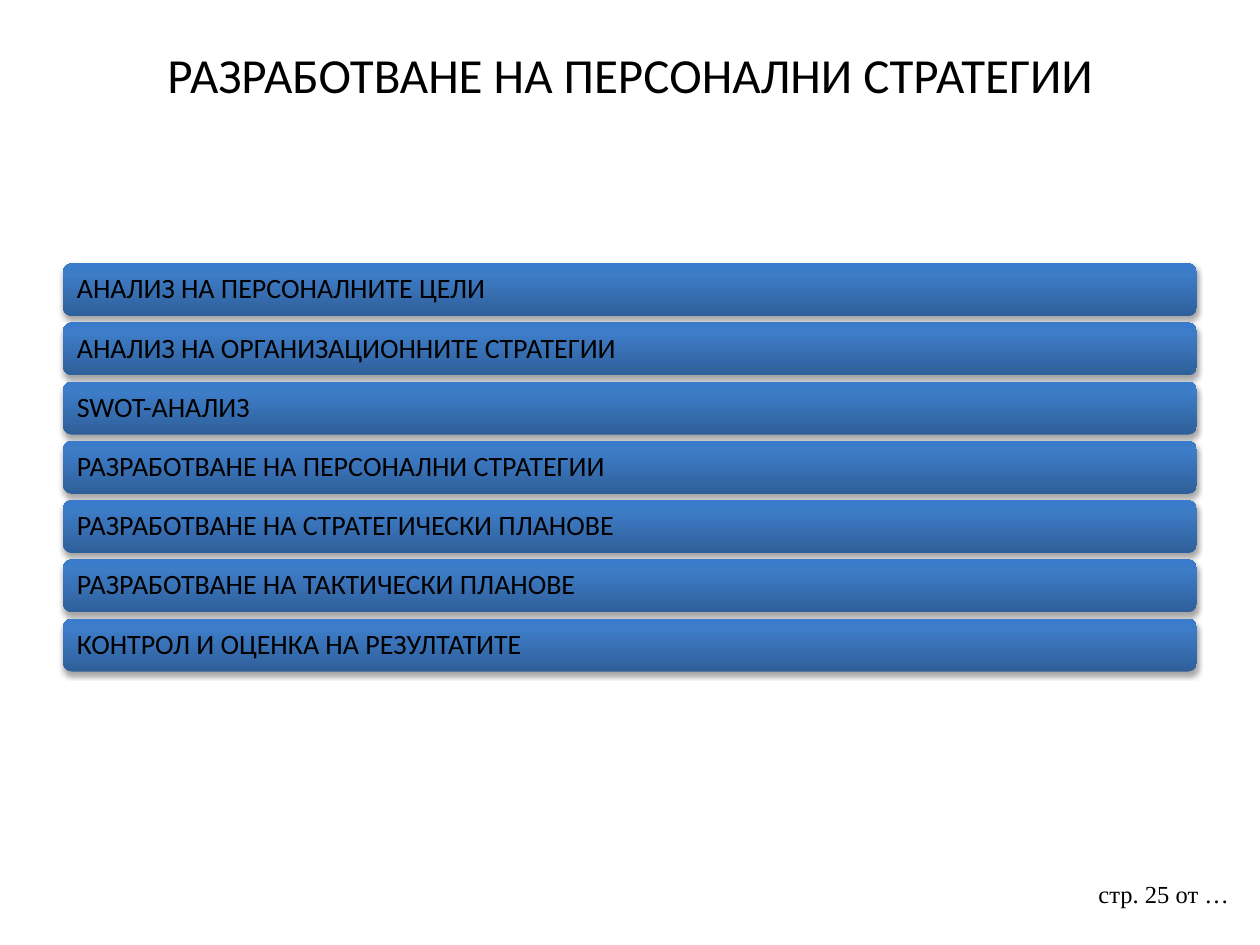
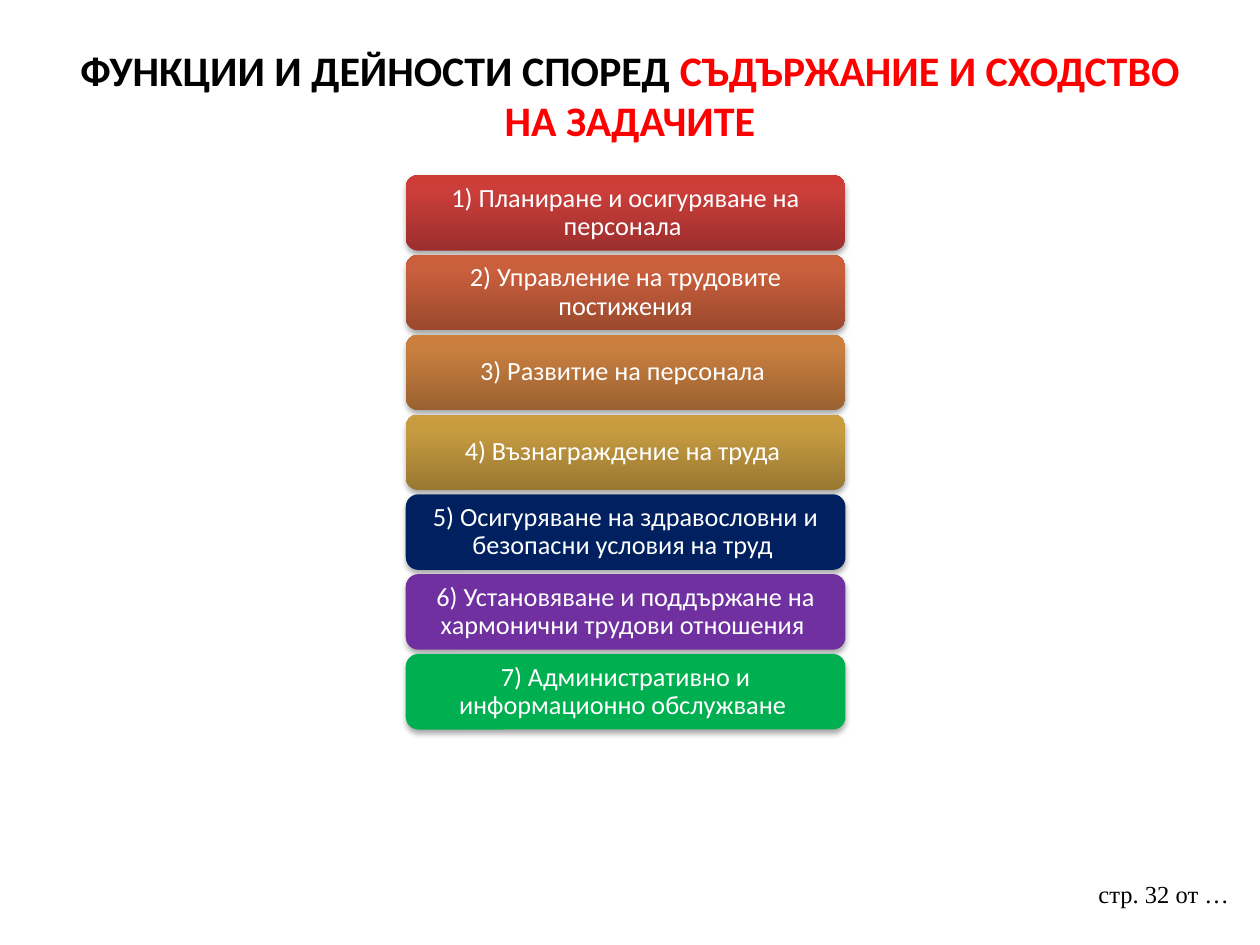
from copy import deepcopy

from pptx import Presentation
from pptx.dml.color import RGBColor
from pptx.enum.shapes import MSO_SHAPE as SHAPE
from pptx.enum.text import MSO_ANCHOR as ANCHOR, PP_ALIGN as ALIGN
from pptx.oxml import parse_xml
from pptx.oxml.ns import nsdecls, qn
from pptx.util import Inches, Pt

BLACK, WHITE, RED = "000000", "FFFFFF", "FF0000"
BLUE = ("2F5F99", "3D7CC7", "3A7CCB")
STOPS = (0, 0.8, 1)
SHADOW = (
    f'<a:effectLst {nsdecls("a")}>'
    '<a:outerShdw blurRad="40000" dist="23000" dir="5400000" rotWithShape="0">'
    '<a:srgbClr val="000000"><a:alpha val="35000"/></a:srgbClr>'
    '</a:outerShdw></a:effectLst>'
)

STEPS = [
    "АНАЛИЗ НА ПЕРСОНАЛНИТЕ ЦЕЛИ",
    "АНАЛИЗ НА ОРГАНИЗАЦИОННИТЕ СТРАТЕГИИ",
    "SWOT-АНАЛИЗ",
    "РАЗРАБОТВАНЕ НА ПЕРСОНАЛНИ СТРАТЕГИИ",
    "РАЗРАБОТВАНЕ НА СТРАТЕГИЧЕСКИ ПЛАНОВЕ",
    "РАЗРАБОТВАНЕ НА ТАКТИЧЕСКИ ПЛАНОВЕ",
    "КОНТРОЛ И ОЦЕНКА НА РЕЗУЛТАТИТЕ",
]
FUNCTIONS = [
    ("1) Планиране и осигуряване на персонала ", ("9C2F2D", "CB3E3A", "CE3B37")),
    ("2) Управление на трудовите постижения", ("9B492E", "C95F3C", "CD5E3A")),
    ("3) Развитие на персонала ", ("9A6130", "C87E3F", "CC7E3C")),
    ("4) Възнаграждение на труда ", ("997832", "C79C41", "CB9D3F")),
    ("5) Осигуряване на здравословни и безопасни условия на труд ", ("002060",)),
    ("6) Установяване и поддържане на хармонични трудови отношения ", ("7030A0",)),
    ("7) Административно и информационно обслужване ", ("00B050",)),
]


def rgb(value):
    return RGBColor.from_string(value)


class Deck:
    font = "Calibri"
    footer_font = "Times New Roman"

    def __init__(self):
        self.prs = Presentation()
        self.prs.slide_width, self.prs.slide_height = Inches(10), Inches(7.5)

    def slide(self, number, title, size, bold=False):
        self.s = self.prs.slides.add_slide(self.prs.slide_layouts[6])
        self.text((8.62, 6.93, 1.3, 0.52), [(f"стр. {number} от …", BLACK)], 14,
                  font=self.footer_font)
        self.text((0.5, 0.3, 9, 1.25), title, size, ALIGN.CENTER, bold)

    def add_runs(self, tf, runs, size, align, bold=False, font=None):
        tf.word_wrap = True
        p = tf.paragraphs[0]
        p.alignment = align
        for text, color in runs:
            r = p.add_run()
            r.text = text
            r.font.name = font or self.font
            r.font.size = Pt(size)
            r.font.bold = bold
            r.font.color.rgb = rgb(color)
        return p

    def text(self, box, runs, size, align=ALIGN.LEFT, bold=False, font=None):
        sp = self.s.shapes.add_textbox(*map(Inches, box))
        self.add_runs(sp.text_frame, runs, size, align, bold, font)

    def paint(self, sp, colors):
        if len(colors) == 1:
            sp.fill.solid()
            sp.fill.fore_color.rgb = rgb(colors[0])
            return
        sp.fill.gradient()
        sp.fill.gradient_angle = 90
        stops = sp._element.spPr.find(qn("a:gradFill")).find(qn("a:gsLst"))
        stops.append(deepcopy(stops[-1]))
        for stop, position, color in zip(sp.fill.gradient_stops, STOPS, colors):
            stop.position = position
            stop.color.rgb = rgb(color)

    def bar(self, box, text, colors, size, color, align, inset):
        sp = self.s.shapes.add_shape(SHAPE.ROUNDED_RECTANGLE, *map(Inches, box))
        self.paint(sp, colors)
        sp.line.fill.background()
        sp._element.spPr.append(parse_xml(SHADOW))
        tf = sp.text_frame
        tf.vertical_anchor = ANCHOR.MIDDLE
        tf.margin_left = tf.margin_right = Inches(inset)
        tf.margin_top = tf.margin_bottom = Inches(0.06)
        p = self.add_runs(tf, [(text, color)], size, align)
        p.line_spacing = 0.9

    def stack(self, items, box, pitch, *style):
        left, top, width, height = box
        for i, (text, colors) in enumerate(items):
            self.bar((left, top + i * pitch, width, height), text, colors, *style)


def main():
    deck = Deck()
    deck.slide(25, [("РАЗРАБОТВАНЕ НА ПЕРСОНАЛНИ СТРАТЕГИИ", BLACK)], 28)
    deck.stack([(step, BLUE) for step in STEPS], (0.5, 2.09, 9, 0.42), 0.47,
               16, BLACK, ALIGN.LEFT, 0.09)

    deck.slide(32, [("ФУНКЦИИ И ДЕЙНОСТИ СПОРЕД ", BLACK),
                    ("СЪДЪРЖАНИЕ И СХОДСТВО НА ЗАДАЧИТЕ", RED)], 24, bold=True)
    deck.stack(FUNCTIONS, (3.22, 1.39, 3.49, 0.6), 3.8 / 6,
               15, WHITE, ALIGN.CENTER, 0.09)
    deck.prs.save("out.pptx")


if __name__ == "__main__":
    main()
